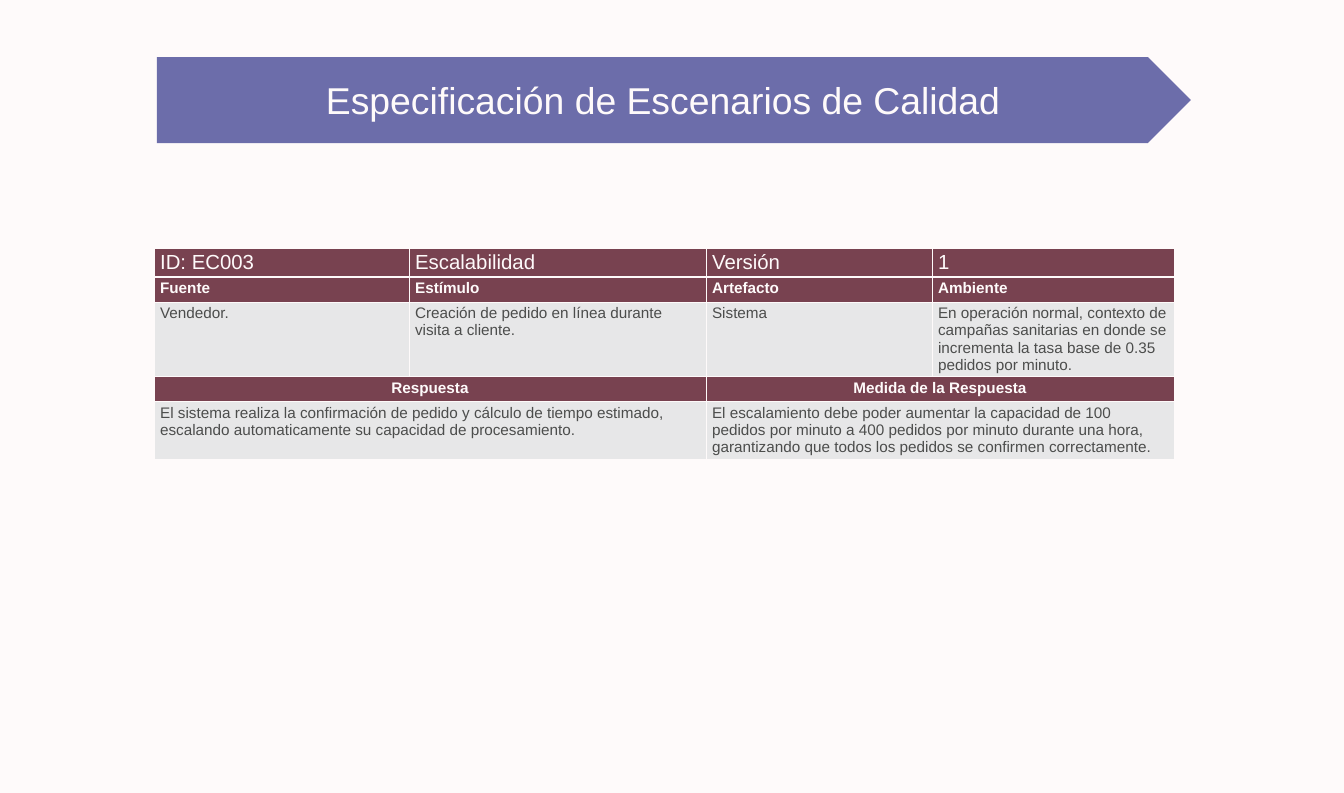
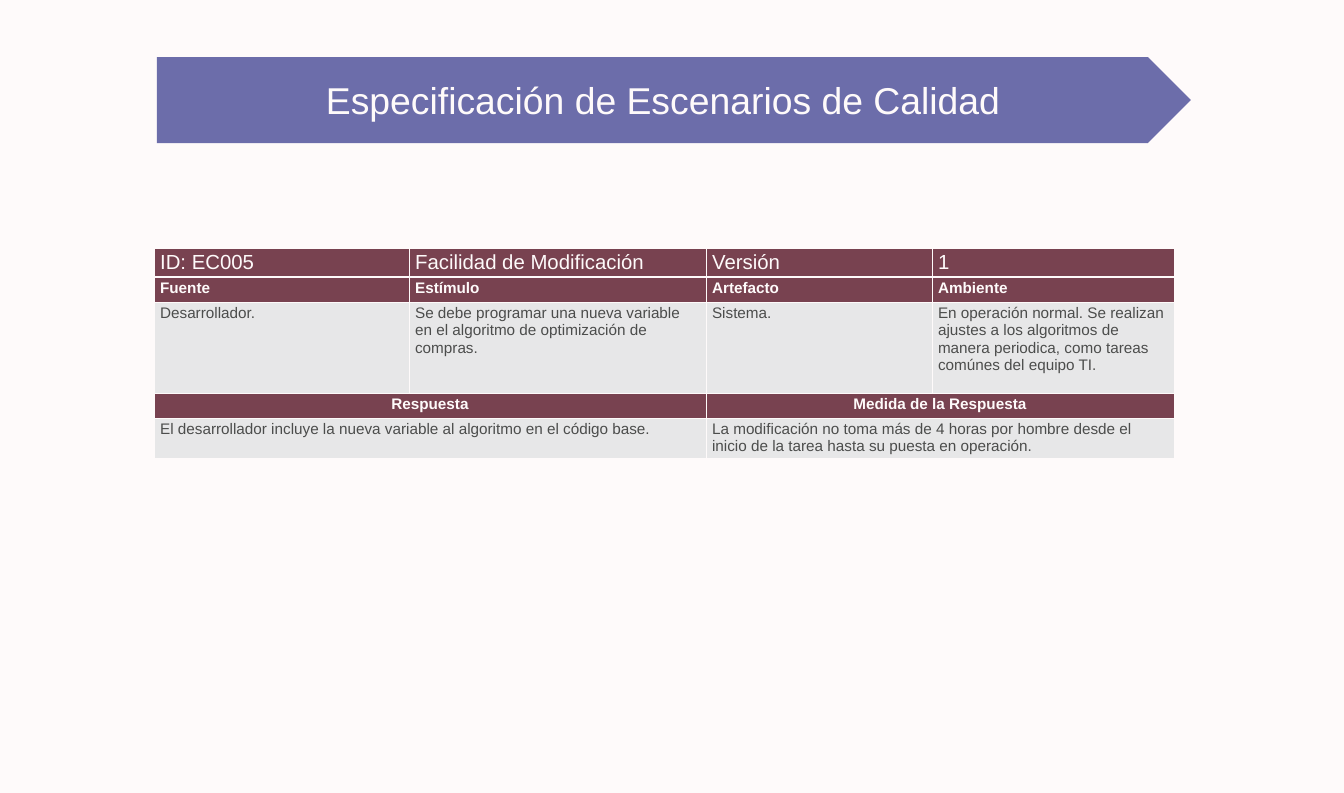
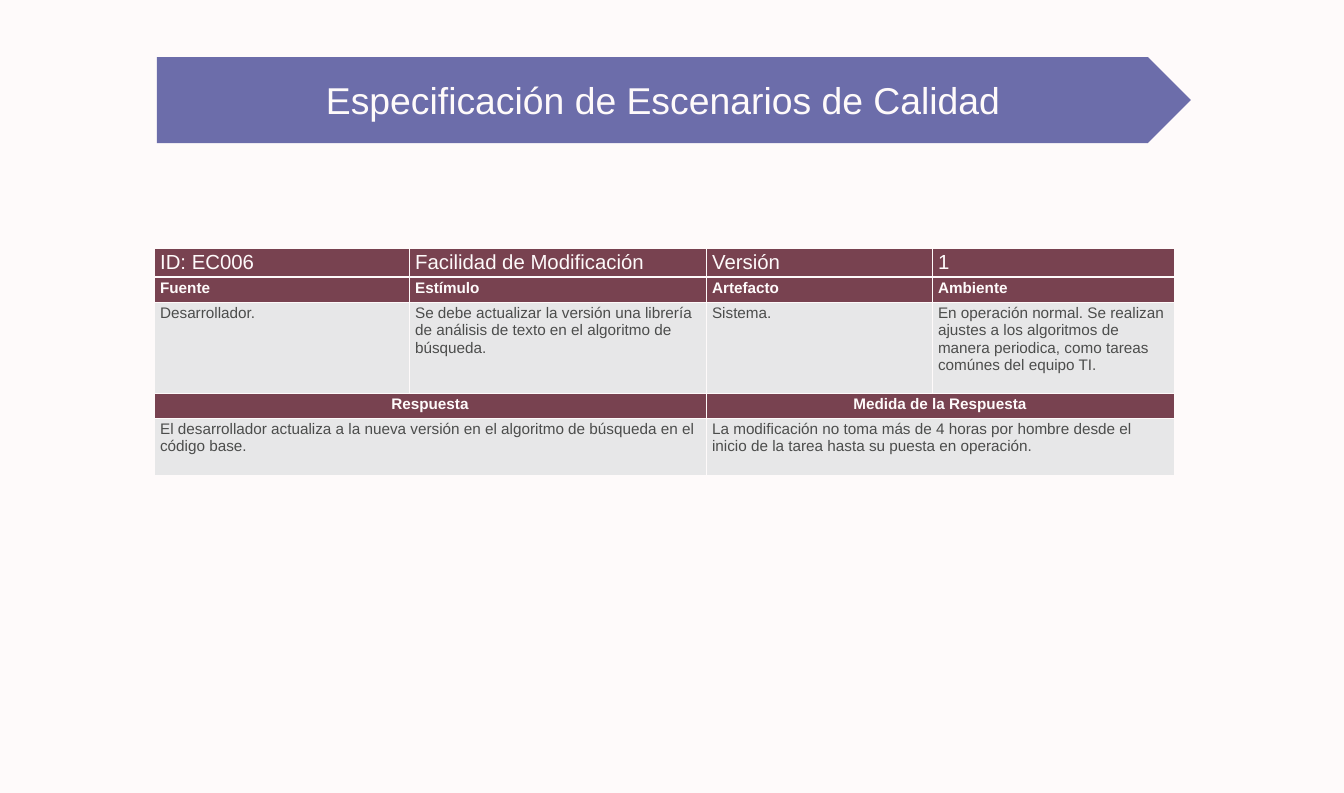
import dataclasses

import lxml.etree
import pptx
import pptx.dml.color
import pptx.enum.shapes
import pptx.enum.text
import pptx.oxml
import pptx.oxml.ns
import pptx.util


@dataclasses.dataclass(frozen=True)
class Theme:
    font: str = "Arial"
    paper: str = "FEFAFA"
    banner: str = "252884"
    banner_alpha: int = 67
    header: str = "784250"
    body: str = "E7E7E8"
    ink: str = "4C4D4C"
    title_size: int = 44
    id_size: int = 24
    cell_size: int = 18
    thin: int = 1
    thick: int = 3


THEME = Theme()
SCALE = 14966
LEFT = pptx.enum.text.PP_ALIGN.LEFT
CENTER = pptx.enum.text.PP_ALIGN.CENTER
qn = pptx.oxml.ns.qn
rgb = pptx.dml.color.RGBColor.from_string


def write(frame, text, *, size=THEME.cell_size, color=THEME.paper, bold=False, align=LEFT):
    para = frame.paragraphs[0]
    para.alignment = align
    span = para.add_run()
    span.text = text
    span.font.name = THEME.font
    span.font.size = pptx.util.Pt(size)
    span.font.bold = bold
    span.font.color.rgb = rgb(color)


def add_border(cell, side, width):
    line = lxml.etree.SubElement(cell._tc.get_or_add_tcPr(), qn(f"a:ln{side}"), w=str(pptx.util.Pt(width)))
    fill = lxml.etree.SubElement(line, qn("a:solidFill"))
    lxml.etree.SubElement(fill, qn("a:srgbClr"), val=THEME.paper)


TITLE = "Especificación de Escenarios de Calidad"
BANNER = [157 * SCALE, 57 * SCALE, 1034 * SCALE, 86 * SCALE]
COLUMNS = [255, 297, 226, 242]
TABLE_LEFT, TABLE_TOP = 154, 248
ID_HEIGHT, HEADER_HEIGHT = 29, 25
LINE_HEIGHT, CELL_PADDING = 17, 6

HEADINGS = ["Fuente", "Estímulo", "Artefacto", "Ambiente"]
RESPONSE_HEADINGS = ["Respuesta", "", "Medida de la Respuesta", ""]
ROUTINE = ("En operación normal. Se realizan ajustes a los algoritmos de manera periodica, "
           "como tareas comúnes del equipo TI.")
FOUR_HOURS = ("La modificación no toma más de 4 horas por hombre desde el inicio de la tarea "
              "hasta su puesta en operación.")

SCENARIOS = [
    {
        "id": "ID: EC003",
        "quality": "Escalabilidad",
        "context": [
            "Vendedor.",
            "Creación de pedido en línea durante visita a cliente.",
            "Sistema",
            "En operación normal, contexto de campañas sanitarias en donde se incrementa "
            "la tasa base de 0.35 pedidos por minuto.",
        ],
        "response": "El sistema realiza la confirmación de pedido y cálculo de tiempo estimado, "
                    "escalando automaticamente su capacidad de procesamiento.",
        "measure": "El escalamiento debe poder aumentar la capacidad de 100 pedidos por minuto "
                   "a 400 pedidos por minuto durante una hora, garantizando que todos los pedidos "
                   "se confirmen correctamente.",
        "lines": (4, 3),
    },
    {
        "id": "ID: EC005",
        "quality": "Facilidad de Modificación",
        "context": [
            "Desarrollador.",
            "Se debe programar una nueva variable en el algoritmo de optimización de compras.",
            "Sistema.",
            ROUTINE,
        ],
        "response": "El desarrollador incluye la nueva variable al algoritmo en el código base.",
        "measure": FOUR_HOURS,
        "lines": (5, 2),
    },
    {
        "id": "ID: EC006",
        "quality": "Facilidad de Modificación",
        "context": [
            "Desarrollador.",
            "Se debe actualizar la versión una librería de análisis de texto en el algoritmo "
            "de búsqueda.",
            "Sistema.",
            ROUTINE,
        ],
        "response": "El desarrollador actualiza a la nueva versión en el algoritmo de búsqueda "
                    "en el código base.",
        "measure": FOUR_HOURS,
        "lines": (5, 3),
    },
]

HEADER_FORMAT = {"bold": True}
BODY_FORMAT = {"color": THEME.ink}
ROW_STYLES = [
    (THEME.header, {"size": THEME.id_size}),
    (THEME.header, HEADER_FORMAT),
    (THEME.body, BODY_FORMAT),
    (THEME.header, {**HEADER_FORMAT, "align": CENTER}),
    (THEME.body, BODY_FORMAT),
]
MERGED_ROWS = (3, 4)

deck = pptx.Presentation()
deck.slide_width = 1344 * SCALE
deck.slide_height = 793 * SCALE
background = deck.slide_master.background.fill
background.solid()
background.fore_color.rgb = rgb(THEME.paper)

layout = deck.slide_layouts.get_by_name("Title Only")
layout_title = layout.placeholders[0]
layout_title.left, layout_title.top = BANNER[:2]
layout_title.width, layout_title.height = 1013 * SCALE, BANNER[3]

for scenario in SCENARIOS:
    page = deck.slides.add_slide(layout)

    banner = page.shapes.add_shape(pptx.enum.shapes.MSO_SHAPE.PENTAGON, *BANNER)
    banner.shadow.inherit = False
    banner.line.fill.background()
    banner.fill.solid()
    banner.fill.fore_color.rgb = rgb(THEME.banner)
    banner_color = banner.element.spPr.find(qn("a:solidFill")).find(qn("a:srgbClr"))
    lxml.etree.SubElement(banner_color, qn("a:alpha"), val=str(THEME.banner_alpha * 1000))

    title = page.shapes.title
    title.element.addprevious(banner.element)
    title.text_frame.auto_size = pptx.enum.text.MSO_AUTO_SIZE.NONE
    title.text_frame.vertical_anchor = pptx.enum.text.MSO_ANCHOR.MIDDLE
    write(title.text_frame, TITLE, size=THEME.title_size, align=CENTER)

    rows = [
        [scenario["id"], scenario["quality"], "Versión", "1"],
        HEADINGS,
        scenario["context"],
        RESPONSE_HEADINGS,
        [scenario["response"], "", scenario["measure"], ""],
    ]
    context_height, response_height = [
        count * LINE_HEIGHT + CELL_PADDING for count in scenario["lines"]
    ]
    heights = [ID_HEIGHT, HEADER_HEIGHT, context_height, HEADER_HEIGHT, response_height]
    table = page.shapes.add_table(
        len(rows), len(COLUMNS), TABLE_LEFT * SCALE, TABLE_TOP * SCALE,
        sum(COLUMNS) * SCALE, sum(heights) * SCALE,
    ).table
    table.first_row = False
    table.horz_banding = False
    for column, width in zip(table.columns, COLUMNS):
        column.width = width * SCALE
    for row, height in zip(table.rows, heights):
        row.height = height * SCALE

    for row_index, (texts, (fill, text_format)) in enumerate(zip(rows, ROW_STYLES)):
        if row_index in MERGED_ROWS:
            for start in (0, 2):
                table.cell(row_index, start).merge(table.cell(row_index, start + 1))
        for column_index, text in enumerate(texts):
            cell = table.cell(row_index, column_index)
            for side in "LRTB":
                under_id = (row_index, side) in ((0, "B"), (1, "T"))
                add_border(cell, side, THEME.thick if under_id else THEME.thin)
            cell.fill.solid()
            cell.fill.fore_color.rgb = rgb(fill)
            if text:
                write(cell.text_frame, text, **text_format)

deck.save("out.pptx")
